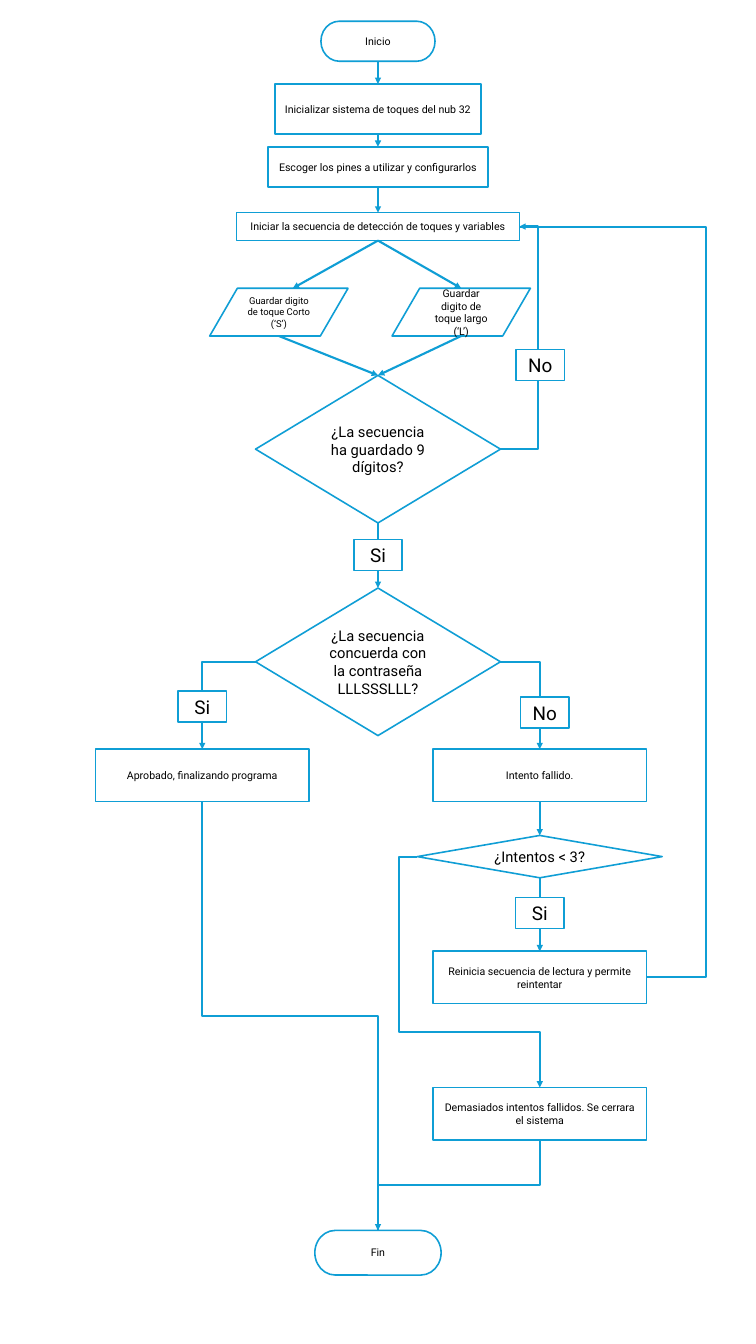
from dataclasses import dataclass

import pptx
import pptx.dml.color
import pptx.enum.shapes
import pptx.enum.text
import pptx.oxml
import pptx.oxml.ns
import pptx.util

KINDS = pptx.enum.shapes.MSO_SHAPE
LINKS = pptx.enum.shapes.MSO_CONNECTOR
TOP, LEFT, BOTTOM, RIGHT = range(4)
qn = pptx.oxml.ns.qn


@dataclass(frozen=True)
class Theme:
    font: str = "Roboto"
    ink: str = "000000"
    paper: str = "FFFFFF"
    accent: str = "0F9ED5"
    outline: float = 1.5
    arrow: float = 2
    step: float = 10.1
    short_touch: float = 9
    long_touch: float = 10
    question: float = 14
    answer: float = 18


def color(value):
    return pptx.dml.color.RGBColor.from_string(value)


def element(tag, attributes=""):
    """Make an empty drawing element."""
    return pptx.oxml.parse_xml(f'<a:{tag} {pptx.oxml.ns.nsdecls("a")} {attributes}/>')


class Flowchart:
    """Draws on a grid of 100 columns by 100 rows over the slide."""

    def __init__(self, deck, theme):
        self.theme = theme
        self.column = deck.slide_width / 100
        self.row = deck.slide_height / 100
        self.slide = deck.slides.add_slide(deck.slide_layouts[6])

    def node(self, kind, text, center, top, width, height, size):
        """Add a box centred on a column; a newline in text is a line break."""
        box = self.slide.shapes.add_shape(
            kind, round((center - width / 2) * self.column), round(top * self.row),
            round(width * self.column), round(height * self.row))
        box.shadow.inherit = False
        box.fill.solid()
        box.fill.fore_color.rgb = color(self.theme.paper)
        box.line.color.rgb = color(self.theme.accent)
        box.line.width = pptx.util.Pt(self.theme.outline)
        frame = box.text_frame
        frame.word_wrap = True
        frame.vertical_anchor = pptx.enum.text.MSO_ANCHOR.MIDDLE
        para = frame.paragraphs[0]
        para.alignment = pptx.enum.text.PP_ALIGN.CENTER
        for index, line in enumerate(text.split("\n")):
            if index:
                para.add_line_break()
            span = para.add_run()
            span.text = line
            span.font.name = self.theme.font
            span.font.size = pptx.util.Pt(size)
            span.font.color.rgb = color(self.theme.ink)
        return box

    def process(self, text, center, top, width=28.2, height=3.89):
        return self.node(KINDS.FLOWCHART_PROCESS, text, center, top, width, height,
                         self.theme.step)

    def terminator(self, text, center, top, width, height):
        return self.node(KINDS.FLOWCHART_TERMINATOR, text, center, top, width, height,
                         self.theme.step)

    def touch(self, text, center, size):
        return self.node(KINDS.FLOWCHART_DATA, text, center, 21.45, 18.3, 3.55, size)

    def decision(self, text, center, top, height=10.98):
        return self.node(KINDS.FLOWCHART_DECISION, text, center, top, 32.4, height,
                         self.theme.question)

    def answer(self, text, center, top):
        return self.node(KINDS.FLOWCHART_PROCESS, text, center, top, 6.4, 2.31,
                         self.theme.answer)

    def link(self, start, start_side, end, end_side, kind=LINKS.STRAIGHT, head=True):
        """Join the middles of two sides, gluing to all but slanted boxes."""
        line = self.slide.shapes.add_connector(kind, 0, 0, 0, 0)
        line.begin_connect(start, start_side)
        line.end_connect(end, end_side)
        line.line.color.rgb = color(self.theme.accent)
        line.line.width = pptx.util.Pt(self.theme.arrow)
        properties = line._element.spPr
        if head:
            properties.find(qn("a:ln")).append(element("tailEnd", 'type="triangle"'))
        properties.append(element("effectLst"))
        for box, tag in ((start, "a:stCxn"), (end, "a:endCxn")):
            if box.auto_shape_type == KINDS.FLOWCHART_DATA:
                glue = line._element.find(".//" + qn(tag))
                glue.getparent().remove(glue)
        return line

    def elbow(self, start, start_side, end, end_side, bends, via=(), head=True):
        """Bent link; via lists the column, then the row, of the free segments."""
        line = self.link(start, start_side, end, end_side, LINKS.ELBOW, head)
        geometry = line._element.spPr.find(qn("a:prstGeom"))
        geometry.set("prst", f"bentConnector{bends + 1}")
        begins, ends = (line.begin_x, line.begin_y), (line.end_x, line.end_y)
        guides = geometry.find(qn("a:avLst"))
        for index, (place, unit) in enumerate(zip(via, (self.column, self.row))):
            share = (place * unit - begins[index]) / (ends[index] - begins[index])
            guides.append(element(
                "gd", f'name="adj{index + 1}" fmla="val {round(share * 100000)}"'))
        if start_side in (TOP, BOTTOM):
            self.turn(line, begins, ends)
        return line

    def turn(self, line, begins, ends):
        """Rotate the frame a quarter so the link leaves vertically."""
        middle_x, middle_y = ((a + b) // 2 for a, b in zip(begins, ends))
        run, drop = ((b - a) // 2 for a, b in zip(begins, ends))
        line.begin_x, line.begin_y = middle_x - drop, middle_y + run
        line.end_x, line.end_y = middle_x + drop, middle_y - run
        line._element.spPr.get_or_add_xfrm().set("rot", "5400000")


def draw(chart):
    theme = chart.theme
    approved_axis, spine, failed_axis = 26.75, 50, 71.4

    begin = chart.terminator("Inicio", spine, 1.58, 15.1, 2.98)
    setup = chart.process("Inicializar sistema de toques del nub 32", spine, 6.25, 27.2, 3.72)
    pins = chart.process("Escoger los pines a utilizar y configurarlos", spine, 10.92, 29.1, 2.98)
    detect = chart.process("Iniciar la secuencia de detección de toques y variables",
                           spine, 15.82, 37.4, 2.08)
    short = chart.touch("Guardar digito de toque Corto (‘S’)", 36.89, theme.short_touch)
    long = chart.touch("Guardar\ndigito de toque largo (‘L’)", 61.01, theme.long_touch)
    full = chart.decision("¿La secuencia ha guardado 9 dígitos?", spine, 27.93)
    match = chart.decision("¿La secuencia concuerda con la contraseña LLLSSSLLL?", spine, 43.75)
    approved = chart.process("Aprobado, finalizando programa", approved_axis, 55.74)
    failed = chart.process("Intento fallido.", failed_axis, 55.74)
    tries = chart.decision("¿Intentos < 3?", failed_axis, 62.16, 3.15)
    retry = chart.process("Reinicia secuencia de lectura y permite reintentar", failed_axis, 70.78)
    locked = chart.process("Demasiados intentos fallidos. Se cerrara el sistema",
                           failed_axis, 80.91)
    finish = chart.terminator("Fin", spine, 91.55, 16.7, 3.32)

    for upper, lower in ((begin, setup), (setup, pins), (pins, detect), (detect, long),
                         (short, full), (long, full), (full, match),
                         (failed, tries), (tries, retry)):
        chart.link(upper, BOTTOM, lower, TOP)
    to_short = chart.link(detect, BOTTOM, short, TOP)
    to_short.end_x = short.left + round(short.width * 0.6)

    chart.elbow(full, RIGHT, detect, RIGHT, 2, via=[71.2])
    chart.elbow(match, LEFT, approved, TOP, 1)
    chart.elbow(match, RIGHT, failed, TOP, 1)
    chart.elbow(approved, BOTTOM, finish, TOP, 2)
    chart.elbow(retry, RIGHT, detect, RIGHT, 2, via=[93.35], head=False)
    chart.elbow(tries, LEFT, locked, TOP, 3, via=[52.75, 76.8])
    chart.elbow(locked, BOTTOM, finish, TOP, 2, head=False)

    for text, center, top in (("No", 71.47, 26.01), ("Si", spine, 40.15), ("No", 72.07, 51.86),
                              ("Si", approved_axis, 51.41), ("Si", failed_axis, 66.78)):
        chart.answer(text, center, top)


def main():
    deck = pptx.Presentation()
    deck.slide_width = pptx.util.Inches(9.99)
    deck.slide_height = pptx.util.Inches(17.76)
    draw(Flowchart(deck, Theme()))
    deck.save("out.pptx")


if __name__ == "__main__":
    main()
